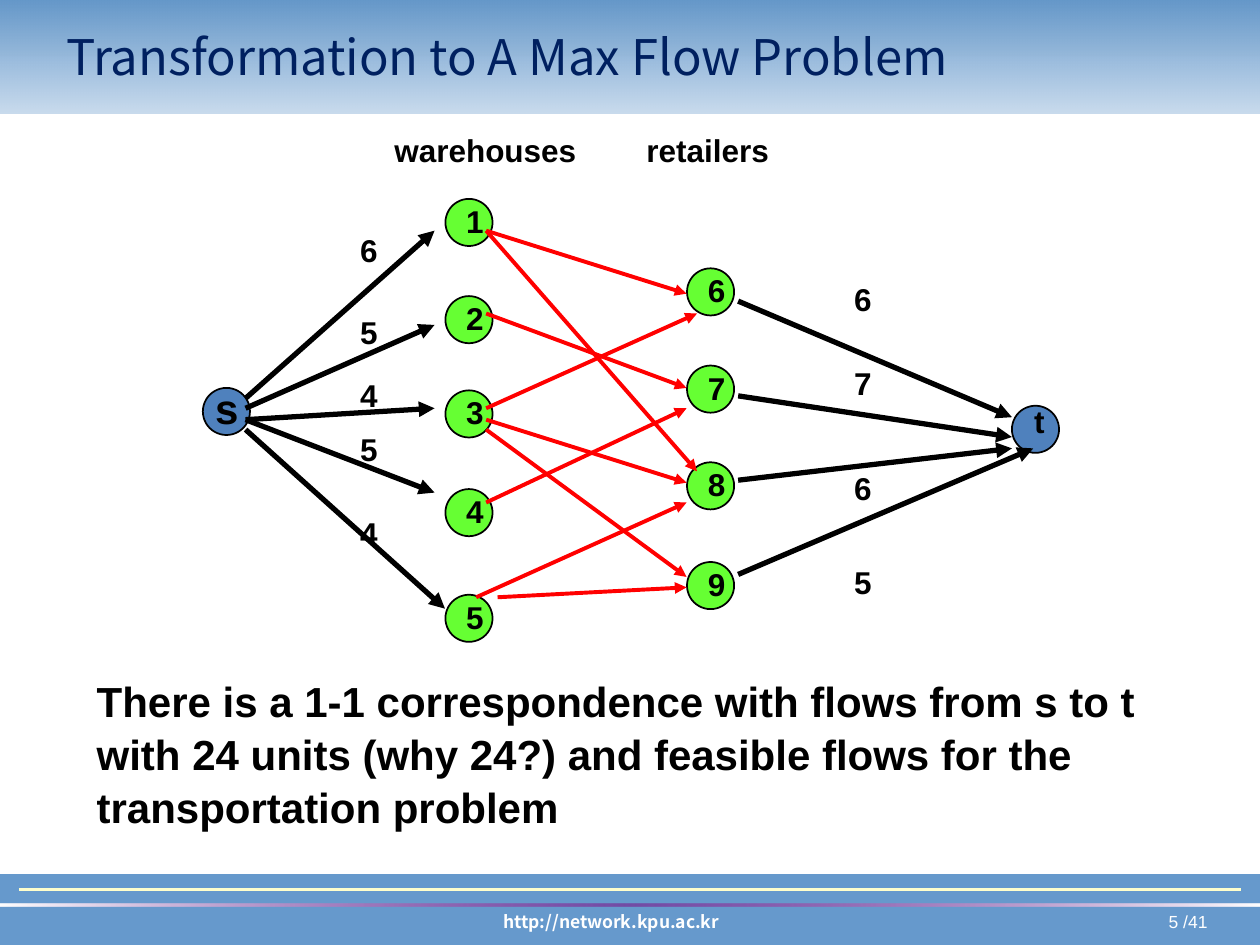
from lxml import etree
from pptx import Presentation
from pptx import util as u
from pptx.dml.color import RGBColor
from pptx.enum import shapes, text
from pptx.oxml import ns

BLACK = RGBColor(0x00, 0x00, 0x00)
WHITE = RGBColor(0xFF, 0xFF, 0xFF)
NAVY = RGBColor(0x00, 0x20, 0x60)
SKY = RGBColor(0x66, 0x99, 0xCC)
DEEP_SKY = RGBColor(0x64, 0x97, 0xC9)
CREAM = RGBColor(0xFF, 0xFF, 0xCC)
PURPLE = RGBColor(0x80, 0x00, 0x80)
GREEN = RGBColor(0x66, 0xFF, 0x33)
BLUE = RGBColor(0x4F, 0x81, 0xBD)
RED = RGBColor(0xFF, 0x00, 0x00)

SANS = "Arial"
CJK = "Noto Sans CJK KR"
NODE = 0.95
LABEL = (0.36, 0.76)


class FlowSlide:
    """Holds the base text style and the page being drawn."""

    base = {"name": SANS, "size": u.Pt(18), "bold": True}

    def __init__(self, deck):
        self.page = deck.slides.add_slide(deck.slide_layouts[6])

    def shape(self, kind, left, top, width, height, fill=None, line=None, weight=1):
        box = self.page.shapes.add_shape(
            kind, u.Cm(left), u.Cm(top), u.Cm(width), u.Cm(height))
        box.shadow.inherit = False
        if fill is not None:
            box.fill.solid()
            box.fill.fore_color.rgb = fill
        if line is None:
            box.line.fill.background()
        else:
            box.line.color.rgb = line
            box.line.width = u.Pt(weight)
        return box

    def gradient(self, left, top, width, height, stops, angle):
        """Stops are (position %, colour, opacity %)."""
        box = self.shape(shapes.MSO_SHAPE.RECTANGLE, left, top, width, height)
        box.fill.gradient()
        box.fill.gradient_angle = angle
        stop_list = next(box._element.spPr.iter(ns.qn("a:gsLst")))
        for old in list(stop_list):
            stop_list.remove(old)
        for position, colour, opacity in stops:
            stop = etree.SubElement(stop_list, ns.qn("a:gs"), pos=str(position * 1000))
            shade = etree.SubElement(stop, ns.qn("a:srgbClr"), val=str(colour))
            etree.SubElement(shade, ns.qn("a:alpha"), val=str(opacity * 1000))

    def words(self, content, left, top, width, height, colour=BLACK, inset=True,
              align=text.PP_ALIGN.LEFT, anchor=text.MSO_ANCHOR.TOP, spacing=None, **font):
        box = self.page.shapes.add_textbox(
            u.Cm(left), u.Cm(top), u.Cm(width), u.Cm(height))
        frame = box.text_frame
        frame.word_wrap = inset
        frame.vertical_anchor = anchor
        if not inset:
            for side in ("left", "top", "right", "bottom"):
                setattr(frame, f"margin_{side}", 0)
        para = frame.paragraphs[0]
        para.alignment = align
        if spacing:
            para.line_spacing = spacing
        span = para.add_run()
        span.text = content
        for key, value in {**self.base, **font}.items():
            setattr(span.font, key, value)
        span.font.color.rgb = colour

    def label(self, content, left, top):
        self.words(content, left, top, *LABEL, inset=False)

    def node(self, left, top, fill):
        self.shape(shapes.MSO_SHAPE.OVAL, left, top, NODE, NODE, fill, BLACK)

    def line(self, start, end, colour, weight, arrow=True):
        points = [u.Cm(value) for value in (*start, *end)]
        link = self.page.shapes.add_connector(shapes.MSO_CONNECTOR.STRAIGHT, *points)
        link.line.color.rgb = colour
        link.line.width = u.Pt(weight)
        properties = link._element.spPr
        if arrow:
            outline = properties.find(ns.qn("a:ln"))
            etree.SubElement(outline, ns.qn("a:tailEnd"), type="triangle")
        etree.SubElement(properties, ns.qn("a:effectLst"))


def draw_frame(slide):
    # Footer band, page number and address
    slide.shape(shapes.MSO_SHAPE.RECTANGLE, 0, 17.63, 25.4, 1.4, SKY, SKY, 0.75)
    small = {"size": u.Pt(10), "colour": WHITE}
    slide.words("5 /41", 18.85, 18.24, 5.74, 0.69, bold=False,
                align=text.PP_ALIGN.RIGHT, **small)
    slide.words("http://network.kpu.ac.kr", 5.77, 18.24, 13.1, 0.69, name=CJK,
                align=text.PP_ALIGN.CENTER, **small)
    slide.line((0.38, 17.93), (25.02, 17.93), CREAM, 1.5, arrow=False)
    # Header band and footer stripe
    slide.gradient(0, 0, 25.4, 2.29, [(0, SKY, 35), (100, DEEP_SKY, 100)], 90)
    slide.gradient(0, 18.21, 25.4, 0.06,
                   [(0, WHITE, 100), (50, PURPLE, 50), (100, WHITE, 100)], 0)
    slide.words("Transformation to A Max Flow Problem", 1.09, 0.13, 23.6, 2.01, NAVY,
                anchor=text.MSO_ANCHOR.MIDDLE, name=CJK, size=u.Pt(28), bold=False)


def draw_network(slide):
    # Warehouse and retailer nodes, numbered down each column
    columns = [(8.98, (4.01, 5.97, 7.87, 9.86, 11.99)),
               (13.85, (5.41, 7.37, 9.32, 11.33))]
    number = 1
    for left, tops in columns:
        for top in tops:
            slide.node(left, top, GREEN)
            slide.label(str(number), left + 0.42, top + 0.06)
            number += 1
    for caption, left in (("warehouses", 7.7), ("retailers", 12.78)):
        slide.words(caption, left, 2.51, 4.24, 1.02)

    # Shipping routes
    routes = [
        ((9.8, 4.65), (13.84, 5.92)), ((9.8, 4.65), (14.05, 9.5)),
        ((9.8, 8.66), (13.84, 11.63)), ((9.8, 6.32), (13.84, 7.82)),
        ((9.8, 8.23), (14.05, 6.32)), ((9.8, 8.46), (13.84, 9.73)),
        ((9.8, 10.13), (13.84, 8.23)), ((10.03, 12.04), (13.84, 11.84)),
        ((9.6, 12.04), (13.84, 10.13)),
    ]
    for start, end in routes:
        slide.line(start, end, RED, 2.25)

    # Source with supplies: label top, arrow start height, arrow end
    slide.node(4.09, 7.82, BLUE)
    slide.words("s", 4.09, 7.59, 1.07, 1.27, size=u.Pt(24))
    supplies = [("6", 4.65, 8.03, (8.76, 4.65)), ("5", 6.32, 8.23, (8.76, 6.55)),
                ("4", 7.59, 8.46, (8.76, 8.23)), ("5", 8.66, 8.46, (8.76, 9.93)),
                ("4", 10.36, 8.66, (8.97, 12.27))]
    for amount, top, start, end in supplies:
        slide.label(amount, 7.26, top)
        slide.line((4.95, start), end, BLACK, 3)

    # Sink with demands, in the same order
    slide.node(20.4, 8.18, BLUE)
    slide.words("t", 20.6, 7.98, 1.07, 1.02)
    demands = [("6", 5.64, 6.07, (20.4, 8.41)), ("7", 7.34, 7.98, (20.4, 8.81)),
               ("6", 9.45, 9.68, (20.4, 9.04)), ("5", 11.35, 11.58, (20.83, 9.04))]
    for amount, top, start, end in demands:
        slide.label(amount, 17.22, top)
        slide.line((14.88, start), end, BLACK, 3)


def main():
    deck = Presentation()
    deck.slide_width, deck.slide_height = u.Cm(25.4), u.Cm(19.05)
    slide = FlowSlide(deck)
    draw_frame(slide)
    draw_network(slide)
    # Conclusion
    slide.words("There is a 1-1 correspondence with flows from s to t with 24 units "
                "(why 24?) and feasible flows for the transportation problem",
                1.7, 13.44, 23.06, 3.3, size=u.Pt(24), spacing=1.05)
    deck.save("out.pptx")


if __name__ == "__main__":
    main()
